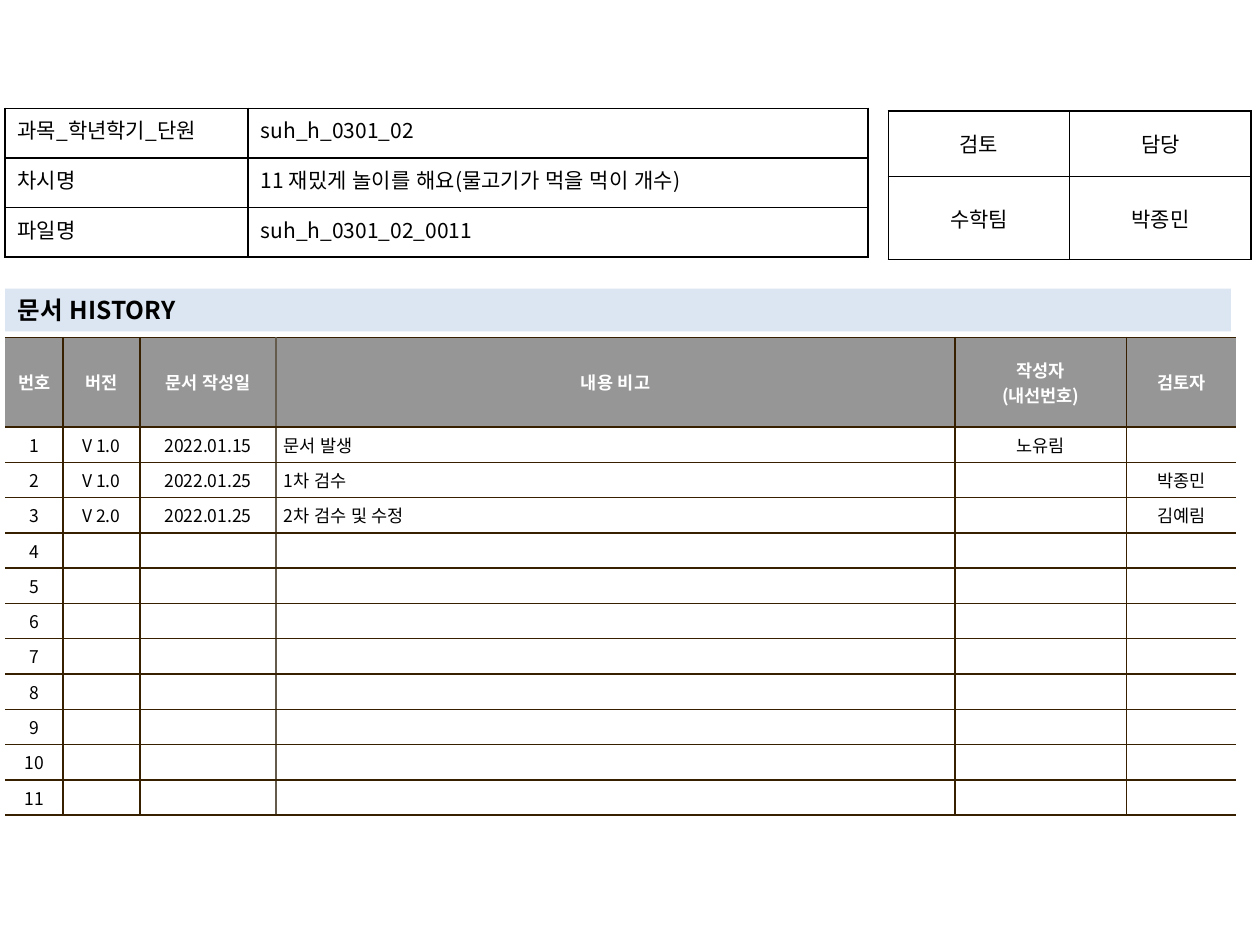
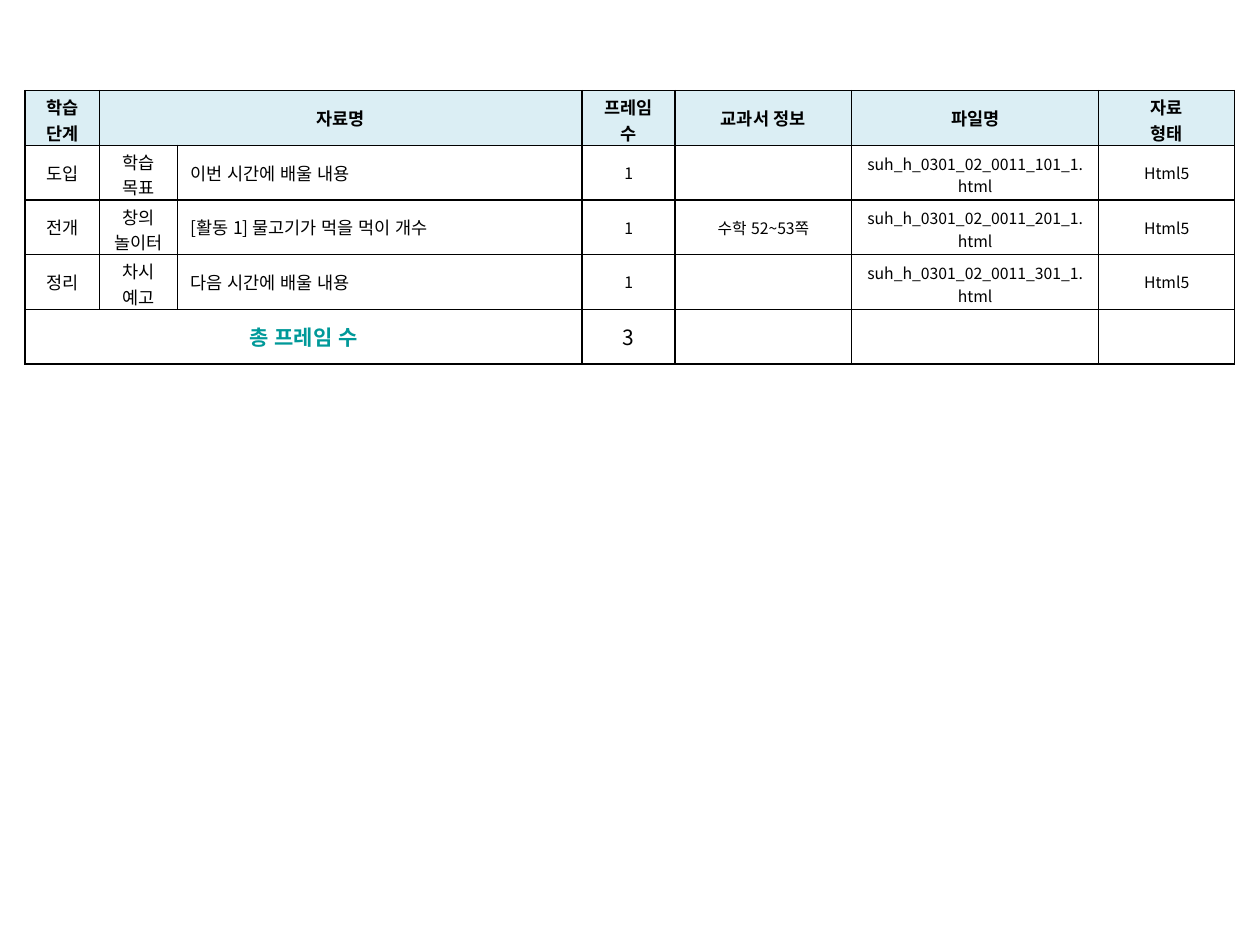
from lxml.etree import SubElement
from pptx import Presentation
from pptx.dml.color import RGBColor
from pptx.enum.lang import MSO_LANGUAGE_ID
from pptx.enum.text import MSO_ANCHOR, MSO_AUTO_SIZE, PP_ALIGN
from pptx.oxml.ns import qn
from pptx.util import Inches, Pt

FONT = "Noto Sans CJK KR"
BLACK = RGBColor(0x00, 0x00, 0x00)
WHITE = RGBColor(0xFF, 0xFF, 0xFF)
BROWN = RGBColor(0x36, 0x20, 0x00)
TAUPE = RGBColor(0x64, 0x5B, 0x4C)
GRAY = RGBColor(0x96, 0x96, 0x96)
PALE_BLUE = RGBColor(0xDC, 0xE6, 0xF2)
PALE_CYAN = RGBColor(0xDB, 0xEE, 0xF4)
TEAL = RGBColor(0x00, 0x99, 0x99)

TITLE_ONLY, BLANK = 5, 6
LEFT, CENTER, JUSTIFY = PP_ALIGN.LEFT, PP_ALIGN.CENTER, PP_ALIGN.JUSTIFY


def write_text(frame, text, size=10, color=BLACK, bold=False, align=CENTER):
    for index, line in enumerate(text.split("\n")):
        para = frame.add_paragraph() if index else frame.paragraphs[0]
        para.alignment = align
        if not line:
            SubElement(para._p, qn("a:endParaRPr")).set("sz", str(size * 100))
            continue
        span = para.add_run()
        span.text = line
        span.font.name = FONT
        span.font.size = Pt(size)
        span.font.bold = bold
        span.font.color.rgb = color
        span.font.language_id = MSO_LANGUAGE_ID.KOREAN
        SubElement(span._r.get_or_add_rPr(), qn("a:ea")).set("typeface", FONT)


def draw_borders(cell, colors):
    properties = cell._tc.get_or_add_tcPr()
    for side, color in zip("LRTB", colors):
        line = SubElement(properties, qn(f"a:ln{side}"), w=str(Pt(1)))
        if color is None:
            SubElement(line, qn("a:noFill"))
        else:
            fill = SubElement(line, qn("a:solidFill"))
            SubElement(fill, qn("a:srgbClr")).set("val", str(color))


class DocumentDeck:
    def __init__(self):
        self.deck = Presentation()
        self.deck.slide_width = Inches(10)
        self.deck.slide_height = Inches(7.5)
        self.page = None

    def add_page(self, layout):
        self.page = self.deck.slides.add_slide(self.deck.slide_layouts[layout])

    def title_band(self, text, left, top, width, height):
        box = self.page.shapes.title
        box.left, box.top = Inches(left), Inches(top)
        box.width, box.height = Inches(width), Inches(height)
        box.fill.solid()
        box.fill.fore_color.rgb = PALE_BLUE
        frame = box.text_frame
        frame.word_wrap = True
        frame.auto_size = MSO_AUTO_SIZE.NONE
        frame.vertical_anchor = MSO_ANCHOR.MIDDLE
        write_text(frame, text, size=14, bold=True, align=LEFT)

    def table(self, left, top, columns, heights, rows, text_format,
              fill=None, borders=None, margins=(0.1, 0.05),
              anchor=MSO_ANCHOR.MIDDLE, merges=(), two_line_cells=()):
        table = self.page.shapes.add_table(
            len(rows), len(columns), Inches(left), Inches(top),
            Inches(sum(columns)), Inches(sum(heights))).table
        table.first_row = table.horz_banding = False
        for column, width in zip(table.columns, columns):
            column.width = Inches(width)
        for row, height in zip(table.rows, heights):
            row.height = Inches(height)
        for row, texts in enumerate(rows):
            for column, text in enumerate(texts):
                cell = table.cell(row, column)
                cell.margin_left = cell.margin_right = Inches(margins[0])
                cell.margin_top = cell.margin_bottom = Inches(margins[1])
                if (row, column) in two_line_cells:
                    cell.margin_top, cell.margin_bottom = Inches(0.03), 0
                cell.vertical_anchor = anchor
                draw_borders(cell, borders(column) if borders else [BLACK] * 4)
                color = fill(row) if fill else None
                if color is None:
                    cell.fill.background()
                else:
                    cell.fill.solid()
                    cell.fill.fore_color.rgb = color
                write_text(cell.text_frame, text, **text_format(row, column))
        for row, first, last in merges:
            table.cell(row, first).merge(table.cell(row, last))

    def save(self):
        self.deck.save("out.pptx")


def history_format(row, column):
    if row == 0:
        return {"color": WHITE, "bold": True}
    return {"align": LEFT if column == 3 else CENTER}


def history_borders(column):
    edges = [None, BROWN, BROWN, TAUPE, BROWN, BROWN, None]
    return edges[column], edges[column + 1], BROWN, BROWN


def frame_format(row, column):
    if row == 0:
        return {"bold": True}
    if row == 4:
        return {"size": 12, "color": BLACK if column else TEAL, "bold": column == 0}
    return {"size": 9 if column > 2 else 10, "align": LEFT if column == 2 else CENTER}


document = DocumentDeck()

document.add_page(TITLE_ONLY)
history = [
    ["번호", "버전", "문서 작성일", "내용 비고", "작성자\n(내선번호)", "검토자"],
    ["1", "V 1.0", "2022.01.15", "문서 발생", "노유림", ""],
    ["2", "V 1.0", "2022.01.25", "1차 검수", "", "박종민"],
    ["3", "V 2.0", "2022.01.25", "2차 검수 및 수정", "", "김예림"],
]
history += [[str(number)] + [""] * 5 for number in range(4, 12)]
document.table(0.04, 2.68, [0.46, 0.61, 1.08, 5.39, 1.36, 0.87],
               [0.71] + [0.25] * 11, history, history_format,
               fill=lambda row: WHITE if row else GRAY,
               borders=history_borders, margins=(0.06, 0.04))
document.table(7.05, 0.88, [1.44, 1.44], [0.52, 0.66],
               [["검토", "담당"], ["수학팀", "박종민"]],
               lambda row, column: {"size": 12})
document.title_band("문서 HISTORY", 0.04, 2.29, 9.73, 0.34)
document.table(0.04, 0.86, [1.93, 4.92], [1.18 / 3] * 3,
               [["과목_학년학기_단원", "suh_h_0301_02"],
                ["차시명", "11 재밌게 놀이를 해요(물고기가 먹을 먹이 개수)"],
                ["파일명", "suh_h_0301_02_0011"]],
               lambda row, column: {"size": 12, "align": LEFT if column else JUSTIFY},
               anchor=MSO_ANCHOR.TOP)

document.add_page(BLANK)
lessons = [
    ("도입", "학습 목표", "이번 시간에 배울 내용", ""),
    ("전개", "창의\n놀이터", "[활동 1] 물고기가 먹을 먹이 개수", "수학 52~53쪽"),
    ("정리", "차시 예고", "다음 시간에 배울 내용", ""),
]
frames = [["학습 단계", "자료명", "", "프레임 수", "교과서 정보", "파일명", "자료\n형태"]]
for number, (stage, part, name, pages) in enumerate(lessons, 1):
    file_name = f"suh_h_0301_02_0011_{number}01_1.html"
    frames.append([stage, part, name, "1", pages, file_name, "Html5"])
frames.append(["총 프레임 수", "", "", str(len(lessons)), "", "", ""])
two_line_cells = [(0, column) for column in (0, 3, 6)]
two_line_cells += [(row, column) for row in (1, 2, 3) for column in (1, 5)]
document.table(0.2, 0.72, [0.59, 0.62, 3.21, 0.74, 1.4, 1.96, 1.08],
               [2.17 / 5] * 5, frames, frame_format,
               fill=lambda row: None if row else PALE_CYAN,
               merges=[(0, 1, 2), (4, 0, 2)], two_line_cells=two_line_cells)

document.save()
